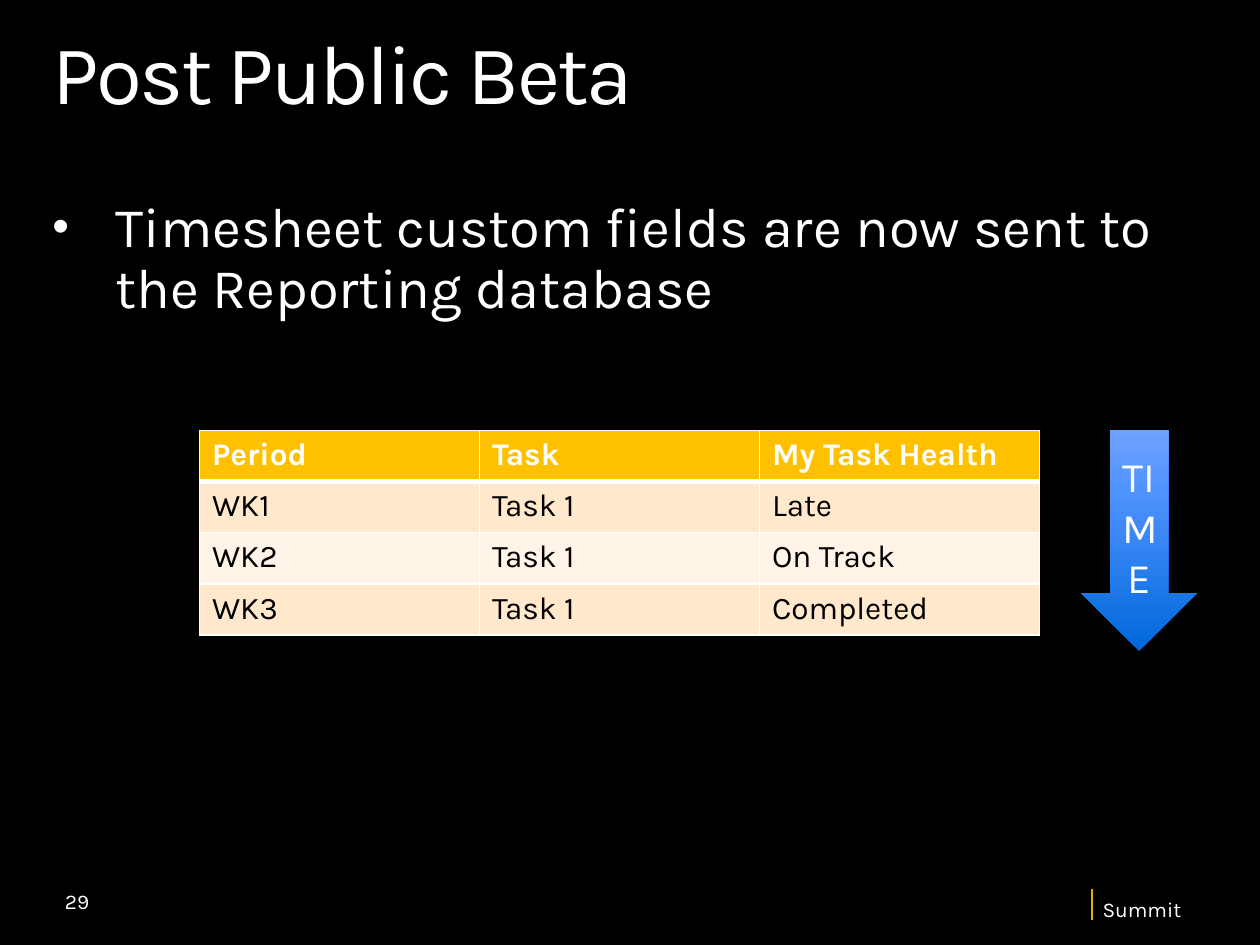
"""Build the Post Public Beta slide with a timesheet table and a time arrow."""
from copy import deepcopy

from pptx import Presentation
from pptx.dml.color import RGBColor
from pptx.enum.shapes import MSO_CONNECTOR, MSO_SHAPE
from pptx.enum.text import MSO_ANCHOR as ANCHOR, MSO_AUTO_SIZE as AUTO, PP_ALIGN as ALIGN
from pptx.oxml.ns import qn
from pptx.oxml.xmlchemy import OxmlElement
from pptx.util import Pt

FONT = "Karla"
BLACK = RGBColor(0x00, 0x00, 0x00)
WHITE = RGBColor(0xFF, 0xFF, 0xFF)
GOLD = RGBColor(0xE7, 0xAE, 0x00)
HEADER = RGBColor(0xFF, 0xC0, 0x00)
BANDS = [RGBColor(0xFF, 0xF4, 0xE7), RGBColor(0xFF, 0xE8, 0xCC)]
BLUES = [
    (0, RGBColor(0x00, 0x68, 0xDA)),
    (0.72, RGBColor(0x4F, 0x93, 0xFF)),
    (1, RGBColor(0x70, 0xA2, 0xFF)),
]


def set_text(tf, text, size, color=WHITE, bold=False, align=ALIGN.LEFT,
             anchor=ANCHOR.TOP, spacing=1.0, inset=None, auto=None):
    tf.word_wrap = True
    tf.vertical_anchor = anchor
    if auto is not None:
        tf.auto_size = auto
    if inset is not None:
        tf.margin_left = tf.margin_right = tf.margin_top = tf.margin_bottom = Pt(inset)
    p = tf.paragraphs[0]
    p.alignment = align
    p.line_spacing = spacing
    p.space_before = Pt(0)
    r = p.add_run()
    r.text = text
    r.font.name = FONT
    r.font.size = Pt(size)
    r.font.bold = bold
    r.font.color.rgb = color
    return p


def add_border(cell, side, width):
    ln = OxmlElement(f"a:{side}")
    ln.set("w", str(Pt(width)))
    fill = OxmlElement("a:solidFill")
    clr = OxmlElement("a:srgbClr")
    clr.set("val", str(WHITE))
    fill.append(clr)
    ln.append(fill)
    tcPr = cell._tc.get_or_add_tcPr()
    tcPr.insert(len(tcPr.findall(qn("a:lnL")) + tcPr.findall(qn("a:lnR"))
                    + tcPr.findall(qn("a:lnT"))), ln)


prs = Presentation()
prs.slide_width, prs.slide_height = Pt(720), Pt(540)
s = prs.slides.add_slide(prs.slide_layouts[1])
s.background.fill.solid()
s.background.fill.fore_color.rgb = BLACK

title, body = s.placeholders
title.left, title.top, title.width, title.height = Pt(30), Pt(18), Pt(660), Pt(52.5)
p = set_text(title.text_frame, "Post Public Beta", 48, spacing=0.9, inset=0,
             auto=AUTO.SHAPE_TO_FIT_TEXT)
p.runs[0].font._element.set("spc", "-150")

body.left, body.top, body.width, body.height = Pt(30), Pt(114), Pt(660), Pt(70)
p = set_text(body.text_frame,
             "Timesheet custom fields are now sent to the Reporting database",
             32, spacing=0.9, inset=0, auto=AUTO.SHAPE_TO_FIT_TEXT)
pPr = p._p.get_or_add_pPr()
pPr.set("marL", str(Pt(36)))
pPr.set("indent", str(Pt(-36)))
for tag, key, value in [("a:buSzPct", "val", "85000"), ("a:buChar", "char", "•")]:
    bu = OxmlElement(tag)
    bu.set(key, value)
    pPr.append(bu)

number = s.shapes.add_textbox(Pt(30), Pt(500.5), Pt(168), Pt(28.5))
set_text(number.text_frame, "29", 12, anchor=ANCHOR.MIDDLE)
footer = s.shapes.add_textbox(Pt(630), Pt(514), Pt(60), Pt(13))
set_text(footer.text_frame, "Summit", 12, spacing=0.9, inset=0)
rule = s.shapes.add_connector(MSO_CONNECTOR.STRAIGHT, Pt(624), Pt(508), Pt(624), Pt(526))
rule.line.color.rgb = GOLD
rule.line.width = Pt(1.25)
rule._element.spPr.append(OxmlElement("a:effectLst"))

rows = [
    ("Period", "Task", "My Task Health"),
    ("WK1", "Task 1", "Late"),
    ("WK2", "Task 1", "On Track"),
    ("WK3", "Task 1", "Completed"),
]
table = s.shapes.add_table(4, 3, Pt(114), Pt(246), Pt(480), Pt(116.8)).table
for i, row in enumerate(rows):
    table.rows[i].height = Pt(29.2)
    for j, text in enumerate(row):
        cell = table.cell(i, j)
        head = i == 0
        set_text(cell.text_frame, text, 18, color=WHITE if head else BLACK, bold=head)
        cell.fill.solid()
        cell.fill.fore_color.rgb = HEADER if head else BANDS[i % 2]
        for side in ("lnL", "lnR", "lnT", "lnB"):
            thick = (i, side) in [(0, "lnB"), (1, "lnT")]
            add_border(cell, side, 3 if thick else 1)

arrow = s.shapes.add_shape(MSO_SHAPE.DOWN_ARROW, Pt(618), Pt(246), Pt(66), Pt(126))
arrow.shadow.inherit = False
arrow.line.fill.background()
arrow.fill.gradient()
arrow.fill.gradient_angle = 90
stops = arrow._element.spPr.find(".//" + qn("a:gsLst"))
stops.append(deepcopy(stops[0]))
for stop, (position, color) in zip(arrow.fill.gradient_stops, BLUES):
    stop.position = position
    stop.color.rgb = color
set_text(arrow.text_frame, "TIME", 24, align=ALIGN.CENTER, anchor=ANCHOR.MIDDLE)

prs.save("out.pptx")
